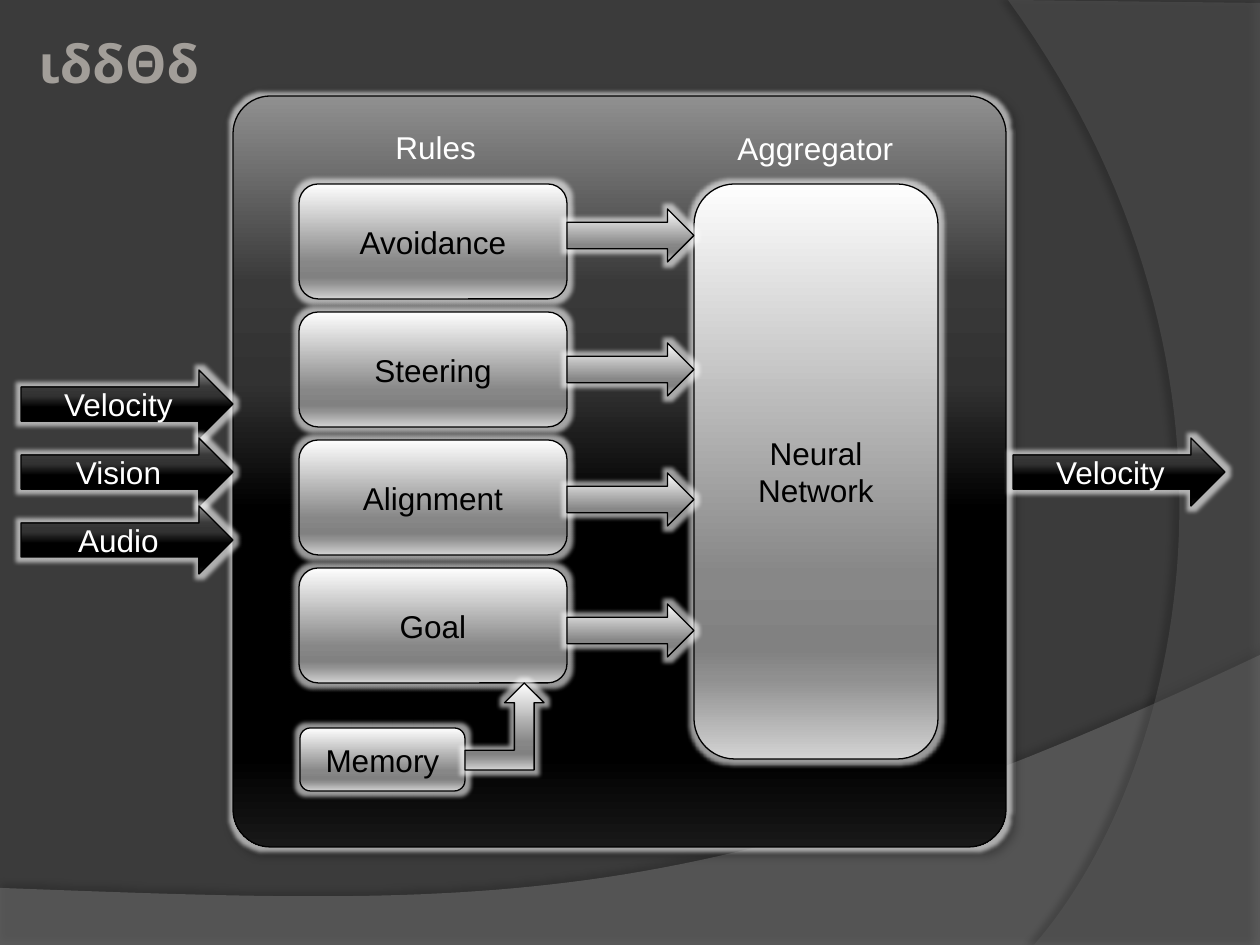
"""Build the slide that shows how steering rules feed a neural aggregator."""
from dataclasses import dataclass, field
from typing import Any, Optional

from lxml import etree
from pptx import Presentation
from pptx import util as u
from pptx.dml.color import RGBColor
from pptx.enum import shapes, text
from pptx.oxml import ns

SCALE = 914400 / 126
PT = 12700

Point = tuple[float, float]
Stops = tuple[tuple[int, str], ...]
Frame = tuple[int, int, int, int]


@dataclass(frozen=True)
class Theme:
    """Colours, fonts and sizes of the slide."""
    background: str = "3B3B3B"
    black: str = "000000"
    white: str = "FFFFFF"
    title: str = "A29E99"
    dark: Stops = ((0, "909090"), (25, "393939"), (38, "323232"), (55, "000000"),
                   (88, "000000"), (100, "181818"))
    light: Stops = ((0, "FEFEFE"), (68, "878787"), (81, "818181"), (86, "909090"),
                    (100, "D3D3D3"))
    body_font: str = "Arial"
    title_font: str = "Noto Sans"
    body_size: int = 18
    title_size: int = 30
    outline: float = 0.75
    glow: float = 5


THEME = Theme()


@dataclass(frozen=True)
class Shadow:
    """Outer shadow with alpha in percent, lengths in points and angle in degrees."""
    alpha: int
    blur: float
    distance: float
    angle: int


@dataclass(frozen=True)
class Swoosh:
    """Translucent background outline, whose curve lies between two runs of points."""
    before: tuple[Point, ...]
    curve: tuple[Point, Point, Point, Point]
    after: tuple[Point, ...]
    colour: str
    alpha: int
    shadow: Shadow


@dataclass(frozen=True)
class Block:
    """Glowing diagram shape with an optional caption."""
    kind: shapes.MSO_SHAPE
    frame: Frame
    stops: Stops
    caption: str = ""
    colour: str = THEME.black
    corner: Optional[float] = None
    shadow: Optional[Shadow] = None


@dataclass(frozen=True)
class Label:
    """Free-standing line of text."""
    words: str
    frame: Frame
    formats: dict[str, Any] = field(default_factory=dict)


def px(length: float) -> u.Emu:
    """Convert pixels to EMU."""
    return u.Emu(round(length * SCALE))


def style_span(span: Any, colour: str, **formats: Any) -> None:
    """Format one run of text."""
    values = {"name": THEME.body_font, "size": u.Pt(THEME.body_size), "bold": False, **formats}
    for name, value in values.items():
        setattr(span.font, name, value)
    span.font.color.rgb = RGBColor.from_string(colour)


def add_colour(parent: Any, colour: str, alpha: int = 100) -> None:
    """Append a colour with an opacity to an XML element."""
    node = etree.SubElement(parent, ns.qn("a:srgbClr"), val=colour)
    if alpha < 100:
        etree.SubElement(node, ns.qn("a:alpha"), val=str(alpha * 1000))


def add_effects(shape: Any, glow: float = 0, shadow: Optional[Shadow] = None) -> None:
    """Replace the inherited effects by a glow and a shadow."""
    shape.shadow.inherit = False
    effects = shape._element.spPr.find(ns.qn("a:effectLst"))
    if glow:
        node = etree.SubElement(effects, ns.qn("a:glow"), rad=str(round(glow * PT)))
        add_colour(node, THEME.white, 60)
    if shadow:
        node = etree.SubElement(
            effects, ns.qn("a:outerShdw"), blurRad=str(round(shadow.blur * PT)),
            dist=str(round(shadow.distance * PT)), dir=str(shadow.angle * 60000),
            algn="ctr", rotWithShape="0")
        add_colour(node, THEME.black, shadow.alpha)


def fill_gradient(shape: Any, stops: Stops) -> None:
    """Fill a shape with a gradient from top to bottom."""
    shape.fill.gradient()
    shape.fill.gradient_angle = 270
    stop_list = shape._element.spPr.find(ns.qn("a:gradFill")).find(ns.qn("a:gsLst"))
    for old in list(stop_list):
        stop_list.remove(old)
    for position, colour in stops:
        add_colour(etree.SubElement(stop_list, ns.qn("a:gs"), pos=str(position * 1000)), colour)


def bezier(curve: tuple[Point, Point, Point, Point], steps: int = 60) -> list[Point]:
    """Sample a cubic curve."""
    def at(t: float, axis: int) -> float:
        weights = ((1 - t) ** 3, 3 * t * (1 - t) ** 2, 3 * t * t * (1 - t), t ** 3)
        return sum(weight * point[axis] for weight, point in zip(weights, curve))
    return [(at(i / steps, 0), at(i / steps, 1)) for i in range(steps + 1)]


def draw_swoosh(page: Any, swoosh: Swoosh) -> None:
    """Draw a background outline."""
    points = [*swoosh.before, *bezier(swoosh.curve), *swoosh.after]
    builder = page.shapes.build_freeform(*(px(v) for v in points[0]), scale=1.0)
    builder.add_line_segments([(px(x), px(y)) for x, y in points[1:]], close=True)
    shape = builder.convert_to_shape()
    shape.fill.solid()
    shape.fill.fore_color.rgb = RGBColor.from_string(swoosh.colour)
    colour = shape._element.spPr.find(ns.qn("a:solidFill"))[0]
    etree.SubElement(colour, ns.qn("a:alpha"), val=str(swoosh.alpha * 1000))
    shape.line.fill.background()
    add_effects(shape, shadow=swoosh.shadow)


def draw_block(page: Any, block: Block) -> None:
    """Draw a diagram shape and its caption."""
    shape = page.shapes.add_shape(block.kind, *map(px, block.frame))
    if block.corner is not None:
        shape.adjustments[0] = block.corner
    fill_gradient(shape, block.stops)
    shape.line.color.rgb = RGBColor.from_string(THEME.black)
    shape.line.width = u.Pt(THEME.outline)
    add_effects(shape, THEME.glow, block.shadow)
    if block.caption:
        shape.text_frame.vertical_anchor = text.MSO_ANCHOR.MIDDLE
        para = shape.text_frame.paragraphs[0]
        para.alignment = text.PP_ALIGN.CENTER
        span = para.add_run()
        span.text = block.caption
        style_span(span, block.colour)


def write_label(box: Any, label: Label) -> None:
    """Place and format a line of text in a box."""
    for name, value in zip(("left", "top", "width", "height"), label.frame):
        setattr(box, name, px(value))
    frame = {"word_wrap": False, "auto_size": text.MSO_AUTO_SIZE.SHAPE_TO_FIT_TEXT,
             "vertical_anchor": text.MSO_ANCHOR.TOP}
    for name, value in frame.items():
        setattr(box.text_frame, name, value)
    para = box.text_frame.paragraphs[0]
    para.alignment = text.PP_ALIGN.LEFT
    span = para.add_run()
    span.text = label.words
    style_span(span, **{"colour": THEME.white, **label.formats})


ROUND = shapes.MSO_SHAPE.ROUNDED_RECTANGLE
ARROW = shapes.MSO_SHAPE.RIGHT_ARROW

SWOOSHES = (
    Swoosh(((0, 888), (0, 945), (1260, 945)), ((1260, 655), (704, 919), (493, 906), (0, 888)),
           (), "7F7F7F", 45, Shadow(35, 4, 3.5, 270)),
    Swoosh(((1260, 3), (1260, 945)), ((1034, 945), (1178, 780), (1283, 378), (1008, 0)),
           (), "5E5E5E", 40, Shadow(45, 4, 4, 180)),
)
BLOCKS = (
    Block(ROUND, (233, 96, 773, 751), THEME.dark, corner=0.05, shadow=Shadow(40, 4, 3, 45)),
    *(Block(ARROW, (21, 370 + 68 * row, 212, 68), THEME.dark, name, THEME.white)
      for row, name in enumerate(("Velocity", "Vision", "Audio"))),
    Block(ARROW, (1013, 438, 212, 68), THEME.dark, "Velocity", THEME.white),
    Block(ROUND, (694, 184, 244, 575), THEME.light, "Neural Network"),
    *(Block(ROUND, (299, 184 + 128 * row, 268, 115), THEME.light, name)
      for row, name in enumerate(("Avoidance", "Steering", "Alignment", "Goal"))),
    *(Block(ARROW, (567, top, 127, 53), THEME.light) for top in (209, 343, 473, 604)),
    Block(ROUND, (300, 728, 165, 63), THEME.light, "Memory"),
    Block(shapes.MSO_SHAPE.BENT_UP_ARROW, (465, 683, 79, 87), THEME.light),
)
TITLE = Label("ιδδΘδ", (26, 25, 189, 77), {
    "colour": THEME.title, "name": THEME.title_font, "size": u.Pt(THEME.title_size), "bold": True})
LABELS = (Label("Rules", (383, 122, 107, 50)), Label("Aggregator", (725, 123, 184, 50)))


def main() -> None:
    """Build and save the deck."""
    deck = Presentation()
    deck.slide_width, deck.slide_height = px(1260), px(945)
    page = deck.slides.add_slide(deck.slide_layouts[5])
    page.background.fill.solid()
    page.background.fill.fore_color.rgb = RGBColor.from_string(THEME.background)
    write_label(page.shapes.title, TITLE)
    for swoosh in SWOOSHES:
        draw_swoosh(page, swoosh)
    for block in BLOCKS:
        draw_block(page, block)
    for label in LABELS:
        write_label(page.shapes.add_textbox(*map(px, label.frame)), label)
    deck.save("out.pptx")


main()
